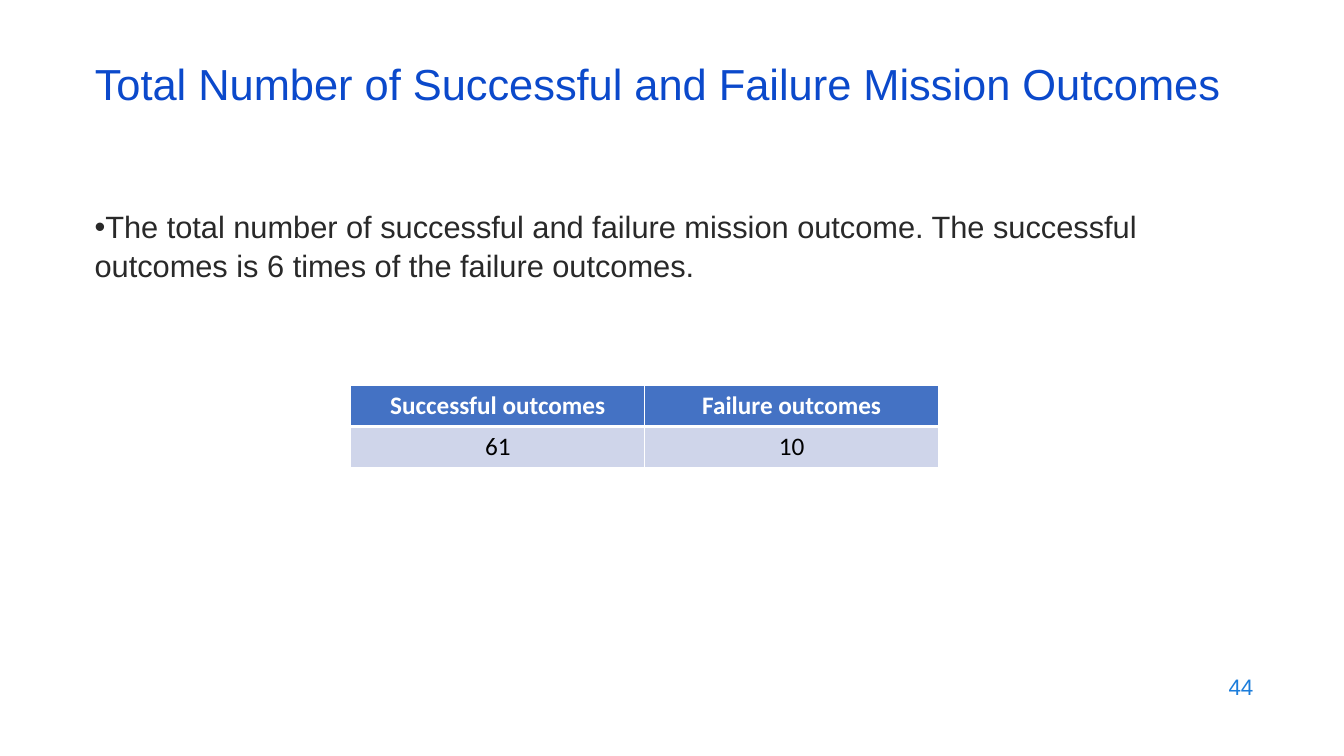
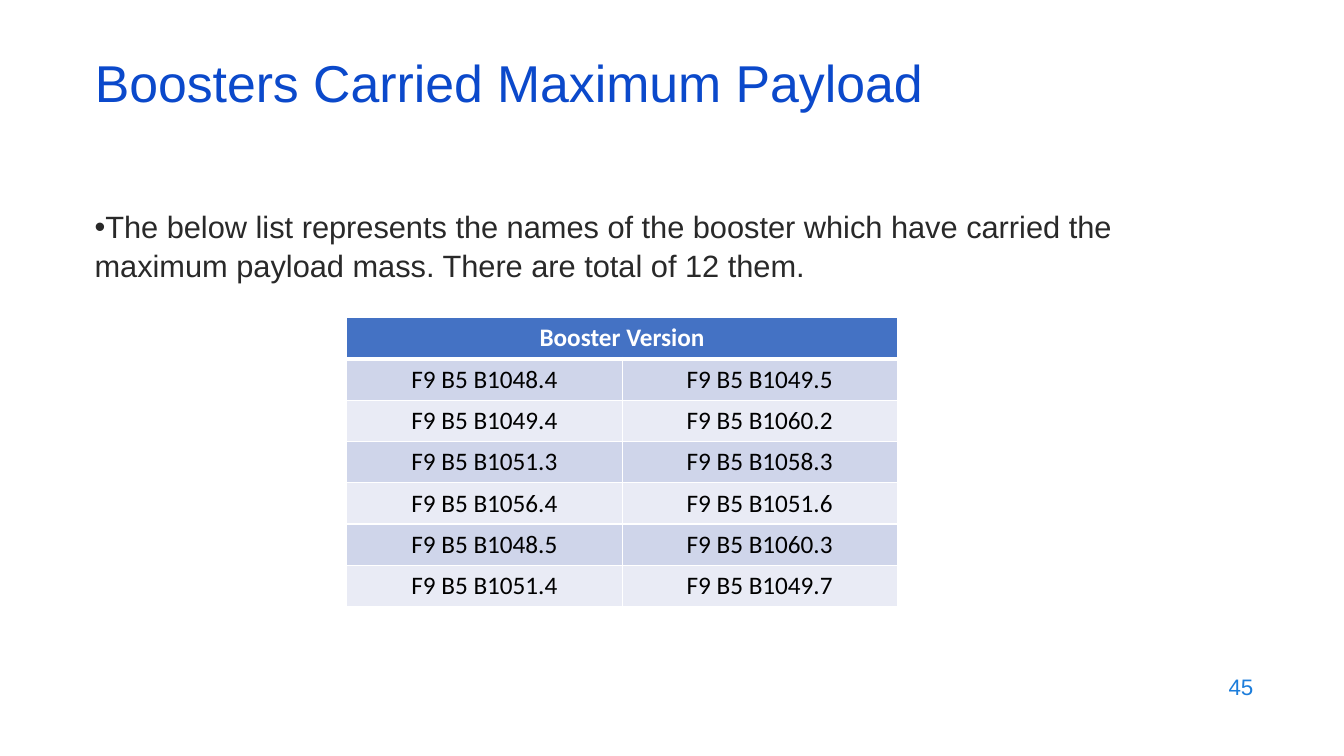
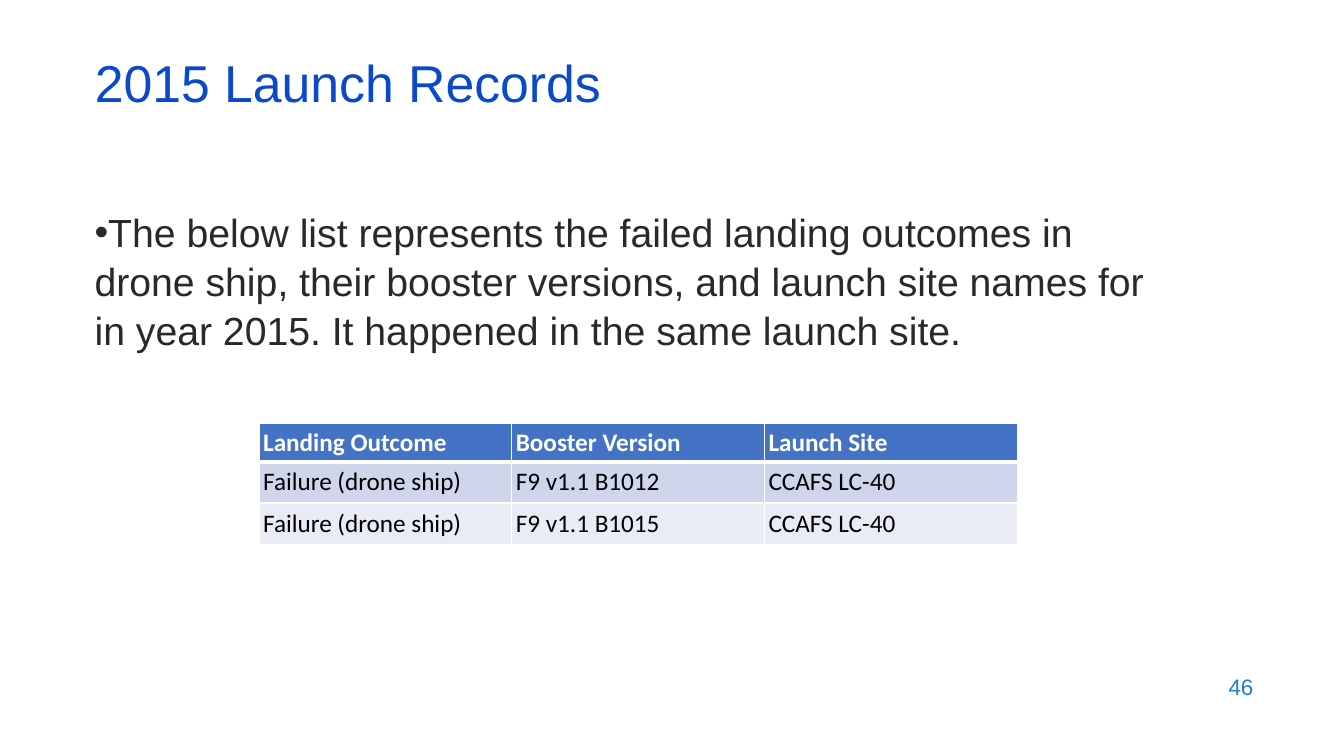
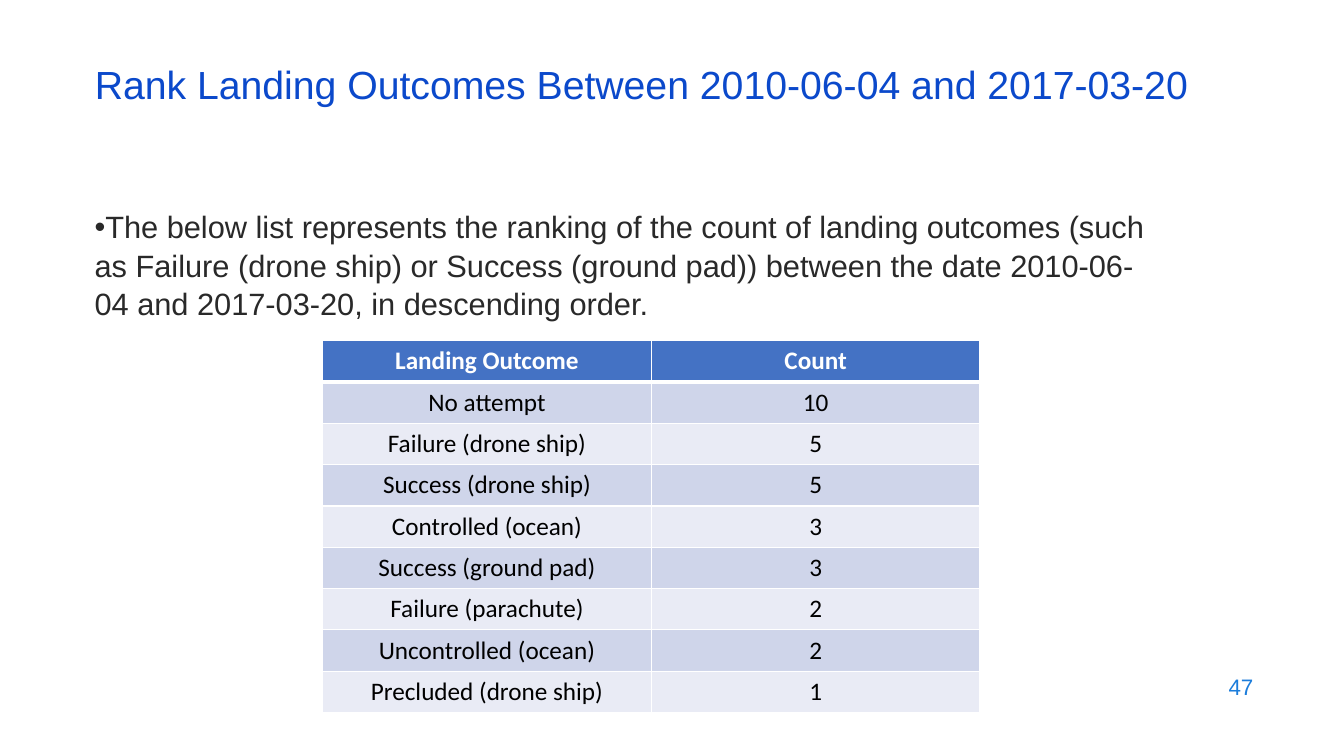
import pptx
import pptx.util
import pptx.dml.color
import pptx.enum.text
import pptx.oxml.ns
from lxml import etree
from pptx.util import Inches

TITLE_BLUE = pptx.dml.color.RGBColor(0x0B, 0x49, 0xCB)
NUMBER_BLUE = pptx.dml.color.RGBColor(0x1C, 0x7D, 0xDB)
BODY_GREY = pptx.dml.color.RGBColor(0x29, 0x29, 0x29)
HEADER_BLUE = pptx.dml.color.RGBColor(0x44, 0x72, 0xC4)
BAND_DARK = pptx.dml.color.RGBColor(0xCF, 0xD5, 0xEA)
BAND_LIGHT = pptx.dml.color.RGBColor(0xE9, 0xEB, 0xF5)
WHITE = pptx.dml.color.RGBColor(0xFF, 0xFF, 0xFF)
BLACK = pptx.dml.color.RGBColor(0x00, 0x00, 0x00)

LEFT = pptx.enum.text.PP_ALIGN.LEFT
CENTER = pptx.enum.text.PP_ALIGN.CENTER
RIGHT = pptx.enum.text.PP_ALIGN.RIGHT
MIDDLE = pptx.enum.text.MSO_ANCHOR.MIDDLE

FIRST_NUMBER = 44
ROW_HEIGHT = 0.41
CELL_MARGIN = Inches(0.04)

SLIDES = [
    {
        "title": "Total Number of Successful and Failure Mission Outcomes",
        "title_size": 31,
        "body": "The total number of successful and failure mission outcome. "
                "The successful outcomes is 6 times of the failure outcomes.",
        "body_size": 22,
        "table_at": (3.48, 3.82, 5.83),
        "header_height": ROW_HEIGHT,
        "align": CENTER,
        "rows": [("Successful outcomes", "Failure outcomes"), ("61", "10")],
    },
    {
        "title": "Boosters Carried Maximum Payload",
        "title_size": 37,
        "body": "The below list represents the names of the booster which have carried "
                "the maximum payload mass. There are total of 12 them.",
        "body_size": 22,
        "table_at": (3.44, 3.15, 5.46),
        "header_height": ROW_HEIGHT,
        "align": CENTER,
        "rows": [
            ("Booster Version", None),
            ("F9 B5 B1048.4", "F9 B5 B1049.5"),
            ("F9 B5 B1049.4", "F9 B5 B1060.2"),
            ("F9 B5 B1051.3", "F9 B5 B1058.3"),
            ("F9 B5 B1056.4", "F9 B5 B1051.6"),
            ("F9 B5 B1048.5", "F9 B5 B1060.3"),
            ("F9 B5 B1051.4", "F9 B5 B1049.7"),
        ],
    },
    {
        "title": "2015 Launch Records",
        "title_size": 37,
        "body": "The below list represents the failed landing outcomes in drone ship, "
                "their booster versions, and launch site names for in year 2015. "
                "It happened in the same launch site.",
        "body_size": 28,
        "table_at": (2.57, 4.2, 7.52),
        "header_height": 0.38,
        "align": LEFT,
        "rows": [
            ("Landing Outcome", "Booster Version", "Launch Site"),
            ("Failure (drone ship)", "F9 v1.1 B1012", "CCAFS LC-40"),
            ("Failure (drone ship)", "F9 v1.1 B1015", "CCAFS LC-40"),
        ],
    },
    {
        "title": "Rank Landing Outcomes Between 2010-06-04 and 2017-03-20",
        "title_size": 28,
        "body": "The below list represents the ranking of the count of landing outcomes "
                "(such as Failure (drone ship) or Success (ground pad)) between the date "
                "2010-06-04 and 2017-03-20, in descending order.",
        "body_size": 22,
        "table_at": (3.2, 3.38, 6.52),
        "header_height": ROW_HEIGHT,
        "align": CENTER,
        "rows": [
            ("Landing Outcome", "Count"),
            ("No attempt", "10"),
            ("Failure (drone ship)", "5"),
            ("Success (drone ship)", "5"),
            ("Controlled (ocean)", "3"),
            ("Success (ground pad)", "3"),
            ("Failure (parachute)", "2"),
            ("Uncontrolled (ocean)", "2"),
            ("Precluded (drone ship)", "1"),
        ],
    },
]


def write(paragraph, text, size, color, align=LEFT, font="Arial", bold=False):
    paragraph.alignment = align
    run = paragraph.add_run()
    run.text = text
    run.font.name = font
    run.font.size = pptx.util.Pt(size)
    run.font.bold = bold
    run.font.color.rgb = color


def add_border(cell, side, points):
    line = etree.SubElement(cell._tc.get_or_add_tcPr(), pptx.oxml.ns.qn("a:" + side))
    line.set("w", str(pptx.util.Pt(points)))
    fill = etree.SubElement(line, pptx.oxml.ns.qn("a:solidFill"))
    etree.SubElement(fill, pptx.oxml.ns.qn("a:srgbClr")).set("val", str(WHITE))


presentation = pptx.Presentation()
presentation.slide_width = Inches(13.33)
presentation.slide_height = Inches(7.5)

for number, content in enumerate(SLIDES, FIRST_NUMBER):
    slide = presentation.slides.add_slide(presentation.slide_layouts[5])

    title = slide.shapes.title
    title.left, title.top = Inches(0.84), Inches(0.59)
    title.width, title.height = Inches(11.5), Inches(0.6)
    title.text_frame.vertical_anchor = MIDDLE
    title.text_frame.auto_size = pptx.enum.text.MSO_AUTO_SIZE.NONE
    paragraph = title.text_frame.paragraphs[0]
    paragraph.line_spacing = 0.7
    write(paragraph, content["title"], content["title_size"], TITLE_BLUE)

    number_box = slide.shapes.add_textbox(Inches(9.53), Inches(6.59), Inches(3), Inches(0.44))
    number_box.text_frame.word_wrap = True
    number_box.text_frame.vertical_anchor = MIDDLE
    write(number_box.text_frame.paragraphs[0], str(number), 16, NUMBER_BLUE, RIGHT)

    body = slide.shapes.add_textbox(Inches(0.84), Inches(2), Inches(10.66), Inches(4.76))
    body.text_frame.word_wrap = True
    paragraph = body.text_frame.paragraphs[0]
    paragraph.line_spacing = 1.04
    properties = paragraph._p.get_or_add_pPr()
    properties.set("marL", "0")
    properties.set("indent", "0")
    etree.SubElement(properties, pptx.oxml.ns.qn("a:buFont")).set("typeface", "Arial")
    etree.SubElement(properties, pptx.oxml.ns.qn("a:buChar")).set("char", "•")
    write(paragraph, content["body"], content["body_size"], BODY_GREY)

    rows = content["rows"]
    left, top, width = content["table_at"]
    heights = [content["header_height"]] + [ROW_HEIGHT] * (len(rows) - 1)
    table = slide.shapes.add_table(
        len(rows), len(rows[0]), Inches(left), Inches(top), Inches(width), Inches(sum(heights))
    ).table
    for column in table.columns:
        column.width = Inches(width / len(rows[0]))
    for row_index, row in enumerate(rows):
        table.rows[row_index].height = Inches(heights[row_index])
        is_header = row_index == 0
        if is_header:
            fill_color = HEADER_BLUE
        else:
            fill_color = BAND_DARK if row_index % 2 else BAND_LIGHT
        for column_index, text in enumerate(row):
            cell = table.cell(row_index, column_index)
            cell.margin_left = cell.margin_right = CELL_MARGIN
            cell.margin_top = cell.margin_bottom = CELL_MARGIN
            cell.vertical_anchor = MIDDLE
            add_border(cell, "lnL", 1)
            add_border(cell, "lnR", 1)
            add_border(cell, "lnT", 3 if row_index == 1 else 1)
            add_border(cell, "lnB", 3 if is_header else 1)
            cell.fill.solid()
            cell.fill.fore_color.rgb = fill_color
            if text is None:
                table.cell(row_index, column_index - 1).merge(cell)
            else:
                write(cell.text_frame.paragraphs[0], text, 18, WHITE if is_header else BLACK,
                      content["align"], "Calibri", is_header)

presentation.save("out.pptx")
